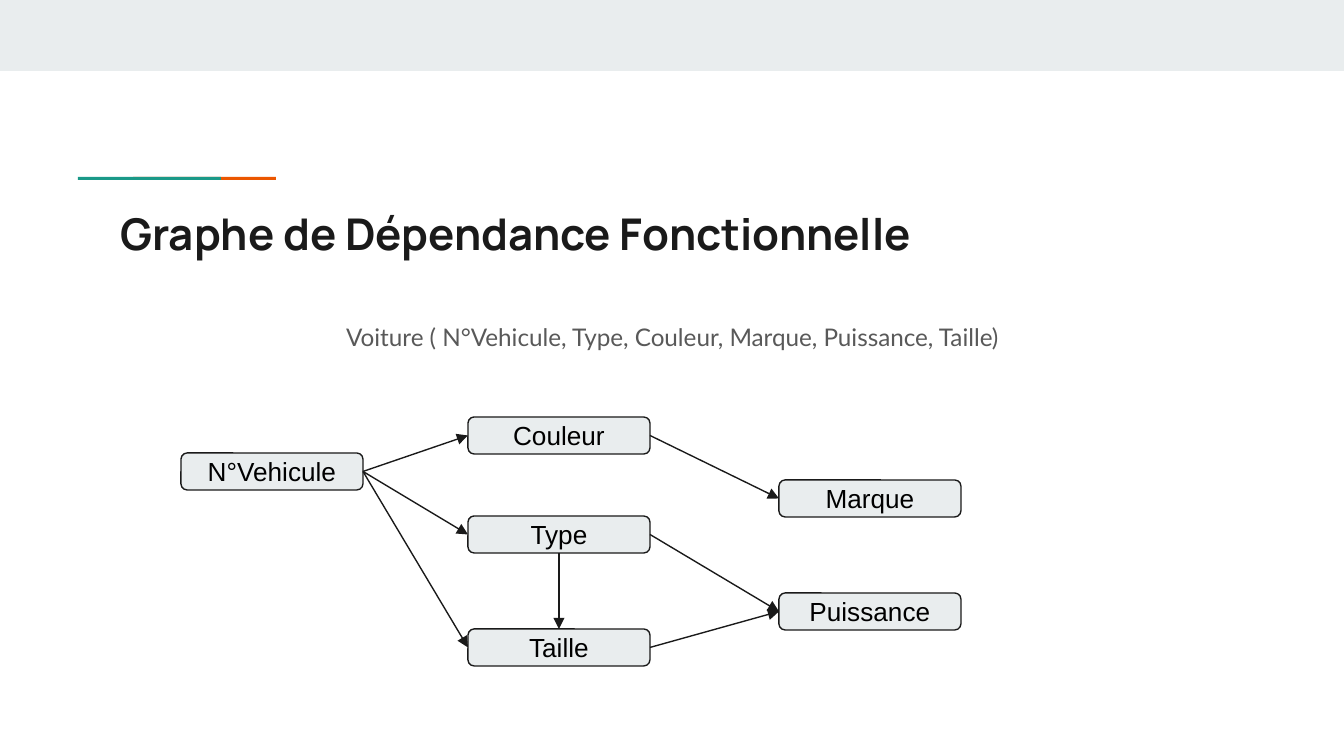
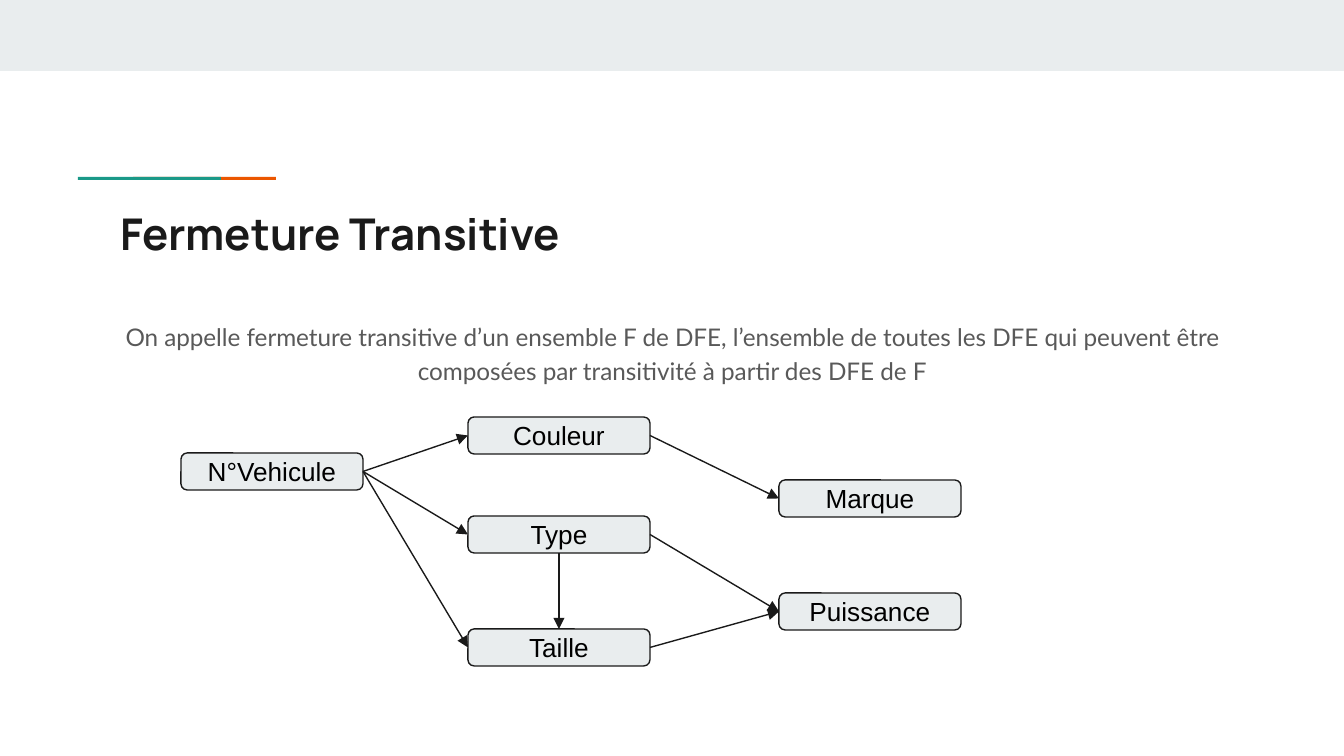
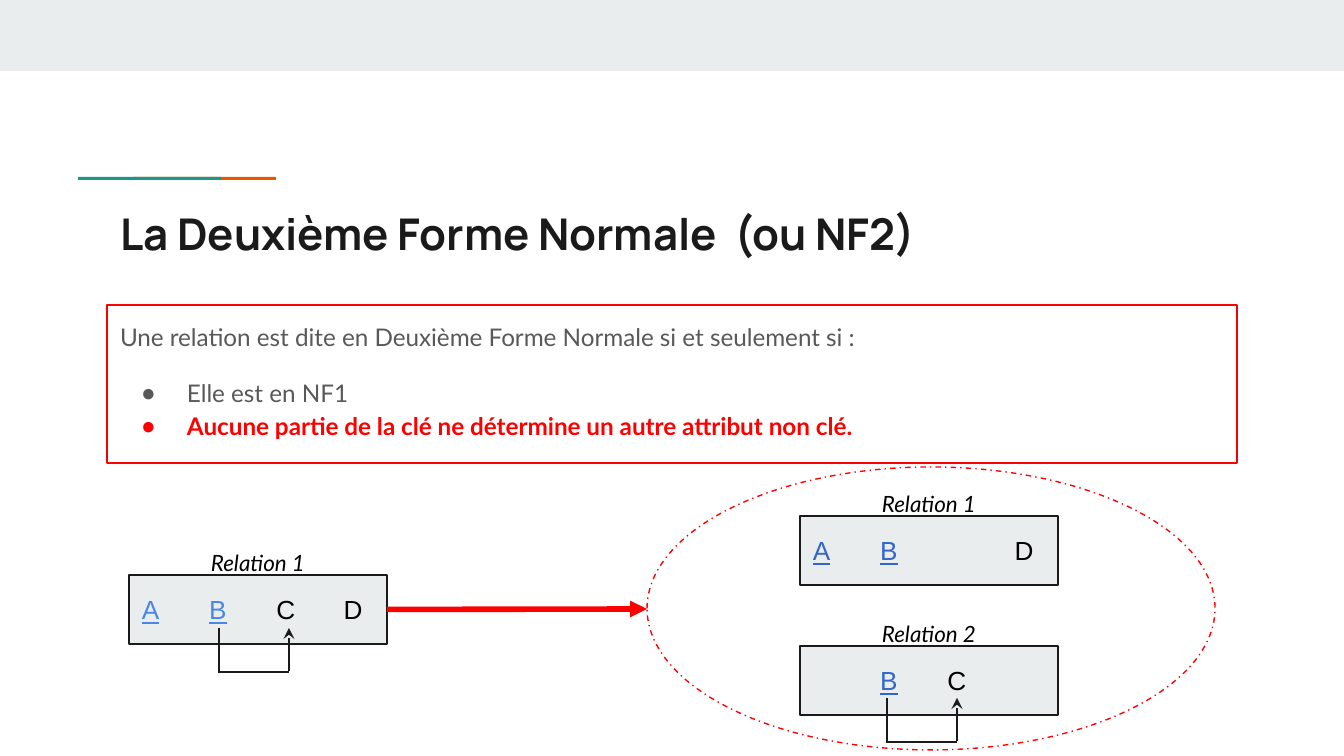
from lxml.etree import SubElement
from pptx import Presentation
from pptx.dml.color import RGBColor
from pptx.enum.dml import MSO_LINE
from pptx.enum.shapes import MSO_CONNECTOR, MSO_SHAPE
from pptx.enum.text import MSO_ANCHOR, MSO_AUTO_SIZE, PP_ALIGN
from pptx.oxml.ns import qn
from pptx.util import Pt

EMU_PER_INCH = 914400
PX_PER_INCH = 134.4
INSET = 13

PALE = "E9EDEE"
INK = "1A1A1A"
GREY = "595959"
BLACK = "000000"
RED = "FF0000"
TEAL = "1A9988"
ORANGE = "EB5600"
KEY_LIGHT = "4A86E8"
KEY_DARK = "3366CC"

TOP, LEFT, BOTTOM, RIGHT = range(4)

ATTRIBUTE_SIZE = (182, 37)
ATTRIBUTES = {
    "N°Vehicule": (181, 453),
    "Couleur": (468, 417),
    "Type": (468, 516),
    "Marque": (779, 480),
    "Puissance": (779, 593),
    "Taille": (468, 629),
}
DEPENDENCIES = [
    ("N°Vehicule", RIGHT, "Couleur", LEFT),
    ("N°Vehicule", RIGHT, "Type", LEFT),
    ("N°Vehicule", RIGHT, "Taille", LEFT),
    ("Couleur", RIGHT, "Marque", LEFT),
    ("Type", RIGHT, "Puissance", LEFT),
    ("Taille", RIGHT, "Puissance", LEFT),
    ("Type", BOTTOM, "Taille", TOP),
]


def px(*lengths):
    """Turn pixel lengths into a list of EMU lengths."""
    return [round(length * EMU_PER_INCH / PX_PER_INCH) for length in lengths]


def color(hex_code):
    """Turn a hex string into a colour."""
    return RGBColor.from_string(hex_code)


def set_font(font, name, size, hex_code, bold=False, italic=False):
    """Apply a complete text style to a font."""
    font.name = name
    font.size = Pt(size)
    font.color.rgb = color(hex_code)
    font.bold = bold
    font.italic = italic


def set_frame(frame, anchor=MSO_ANCHOR.TOP):
    """Give a text frame the shared insets, wrapping and anchor."""
    frame.word_wrap = True
    frame.auto_size = MSO_AUTO_SIZE.NONE
    frame.vertical_anchor = anchor
    inset, = px(INSET)
    frame.margin_left = frame.margin_right = inset
    frame.margin_top = frame.margin_bottom = inset


def place(placeholder, left, top, width, height):
    """Move and size a placeholder."""
    placeholder.left, placeholder.top, placeholder.width, placeholder.height = px(
        left, top, width, height)


def add_box(slide, preset, box, fill=None, outline=None):
    """Draw a preset shape with optional fill and thin outline."""
    shape = slide.shapes.add_shape(preset, *px(*box))
    shape.shadow.inherit = False
    if fill:
        shape.fill.solid()
        shape.fill.fore_color.rgb = color(fill)
    else:
        shape.fill.background()
    if outline:
        shape.line.color.rgb = color(outline)
        shape.line.width = Pt(0.75)
    else:
        shape.line.fill.background()
    return shape


def add_line(slide, start=(0, 0), end=(0, 0), hex_code=INK, width=0.75, arrow=None):
    """Draw a straight line with an optional arrowhead at its end."""
    line = slide.shapes.add_connector(MSO_CONNECTOR.STRAIGHT, *px(*start, *end))
    line.line.color.rgb = color(hex_code)
    line.line.width = Pt(width)
    if arrow:
        SubElement(line.get_or_add_ln(), qn("a:tailEnd"), type=arrow)
    SubElement(line.element.spPr, qn("a:effectLst"))
    return line


def add_titled_slide(deck, title, body_height):
    """Add a slide with band, accent bar and title; return it with its body."""
    slide = deck.slides.add_slide(deck.slide_layouts[1])
    add_box(slide, MSO_SHAPE.RECTANGLE, (0, 0, 1344, 71), PALE)
    for left, accent in ((133, ORANGE), (78, TEAL)):
        add_box(slide, MSO_SHAPE.RECTANGLE, (left, 177, 143, 3), accent)

    heading = slide.shapes.title
    place(heading, 107, 194, 1130, 79)
    set_frame(heading.text_frame)
    heading.text_frame.text = title
    paragraph = heading.text_frame.paragraphs[0]
    paragraph.alignment = PP_ALIGN.LEFT
    set_font(paragraph.font, "Manrope", 23.4, INK, bold=True)

    body = slide.placeholders[1]
    place(body, 107, 305, 1130, body_height)
    set_frame(body.text_frame)
    return slide, body


def format_body(paragraph, hex_code=GREY, bullet=False, bold=False, before=0, after=0):
    """Style a body paragraph, with or without a bullet."""
    properties = paragraph._p.get_or_add_pPr()
    margin, indent = px(67, -46) if bullet else (0, 0)
    properties.set("marL", str(margin))
    properties.set("indent", str(indent))
    if bullet:
        SubElement(SubElement(properties, qn("a:buClr")), qn("a:srgbClr"), val=hex_code)
        SubElement(properties, qn("a:buChar"), char="●")
    else:
        SubElement(properties, qn("a:buNone"))
    paragraph.line_spacing = 1.15
    paragraph.space_before = Pt(before)
    paragraph.space_after = Pt(after)
    set_font(paragraph.font, "Lato", 13, hex_code, bold=bold)


def add_attribute(slide, name, corner):
    """Draw one attribute of the dependency graph."""
    node = add_box(slide, MSO_SHAPE.ROUNDED_RECTANGLE, (*corner, *ATTRIBUTE_SIZE), PALE, INK)
    set_frame(node.text_frame, MSO_ANCHOR.MIDDLE)
    node.text_frame.text = name
    paragraph = node.text_frame.paragraphs[0]
    paragraph.alignment = PP_ALIGN.CENTER
    set_font(paragraph.font, "Arial", 14, BLACK)
    return node


def add_graph_slide(deck, title, statement):
    """Add a slide with a centred statement above the dependency graph."""
    slide, body = add_titled_slide(deck, title, 332)
    body.text_frame.text = statement
    paragraph = body.text_frame.paragraphs[0]
    format_body(paragraph, after=12)
    paragraph.alignment = PP_ALIGN.CENTER

    nodes = {name: add_attribute(slide, name, corner) for name, corner in ATTRIBUTES.items()}
    for source, source_side, target, target_side in DEPENDENCIES:
        dependency = add_line(slide, arrow="triangle")
        dependency.begin_connect(nodes[source], source_side)
        dependency.end_connect(nodes[target], target_side)


def add_relation(slide, name, left, top, columns):
    """Draw a relation box with its name above and its key underlined."""
    relation = add_box(slide, MSO_SHAPE.RECTANGLE, (left, top, 258, 69), PALE, INK)
    set_frame(relation.text_frame, MSO_ANCHOR.MIDDLE)
    paragraph = relation.text_frame.paragraphs[0]
    paragraph.alignment = PP_ALIGN.LEFT
    paragraph.font.name = "Arial"
    paragraph.font.size = Pt(14)
    for text, hex_code in columns:
        run = paragraph.add_run()
        run.text = text
        run.font.color.rgb = color(hex_code)
        run.font.underline = hex_code != BLACK

    label = slide.shapes.add_textbox(*px(left + 53, top - 39, 152, 54))
    set_frame(label.text_frame)
    label.text_frame.auto_size = MSO_AUTO_SIZE.SHAPE_TO_FIT_TEXT
    label.text_frame.text = name
    caption = label.text_frame.paragraphs[0]
    caption.alignment = PP_ALIGN.CENTER
    set_font(caption.font, "Lato", 12, BLACK, italic=True)
    return relation


def add_return_arrow(slide, left, top):
    """Draw a U-shaped dependency that points up at its right end."""
    right, bottom = left + 70, top + 43
    add_line(slide, (left, top), (left, bottom))
    add_line(slide, (left - 1, bottom + 1), (right, bottom + 1))
    add_line(slide, (right, bottom), (right, top), arrow="stealth")


def add_normal_form_slide(deck):
    """Add the slide that defines and illustrates the second normal form."""
    slide, body = add_titled_slide(deck, "La Deuxième Forme Normale  (ou NF2)", 158)
    body.line.color.rgb = color(RED)
    body.line.width = Pt(0.75)
    body.text_frame.text = "\n".join([
        "Une relation est dite en Deuxième Forme Normale si et seulement si :",
        "Elle est en NF1",
        "Aucune partie de la clé ne détermine un autre attribut non clé.",
    ])
    definition, first_rule, second_rule = body.text_frame.paragraphs
    format_body(definition)
    format_body(first_rule, bullet=True, before=12)
    format_body(second_rule, RED, bullet=True, bold=True)

    initial = add_relation(slide, "Relation 1", 129, 575,
                           [("A\tB", KEY_LIGHT), ("\tC\tD", BLACK)])
    add_return_arrow(slide, 219, 628)
    add_relation(slide, "Relation 1", 800, 516, [("A\tB", KEY_DARK), ("\t\tD", BLACK)])
    add_relation(slide, "Relation 2", 800, 646,
                 [("\t", RED), ("B", KEY_DARK), ("\tC\t", BLACK)])
    add_return_arrow(slide, 887, 698)

    decomposition = add_line(slide, end=(647, 609), hex_code=RED, width=3, arrow="triangle")
    decomposition.begin_connect(initial, RIGHT)
    result = add_box(slide, MSO_SHAPE.OVAL, (647, 467, 568, 283), outline=RED)
    result.line.dash_style = MSO_LINE.DASH_DOT


def main():
    """Build the deck."""
    deck = Presentation()
    deck.slide_width, deck.slide_height = px(1344, 756)
    add_graph_slide(deck, "Graphe de Dépendance Fonctionnelle",
                    "Voiture ( N°Vehicule, Type, Couleur, Marque, Puissance, Taille)")
    add_graph_slide(deck, "Fermeture Transitive",
                    "On appelle fermeture transitive d’un ensemble F de DFE, l’ensemble de "
                    "toutes les DFE qui peuvent être composées par transitivité à partir "
                    "des DFE de F")
    add_normal_form_slide(deck)
    deck.save("out.pptx")


if __name__ == "__main__":
    main()
